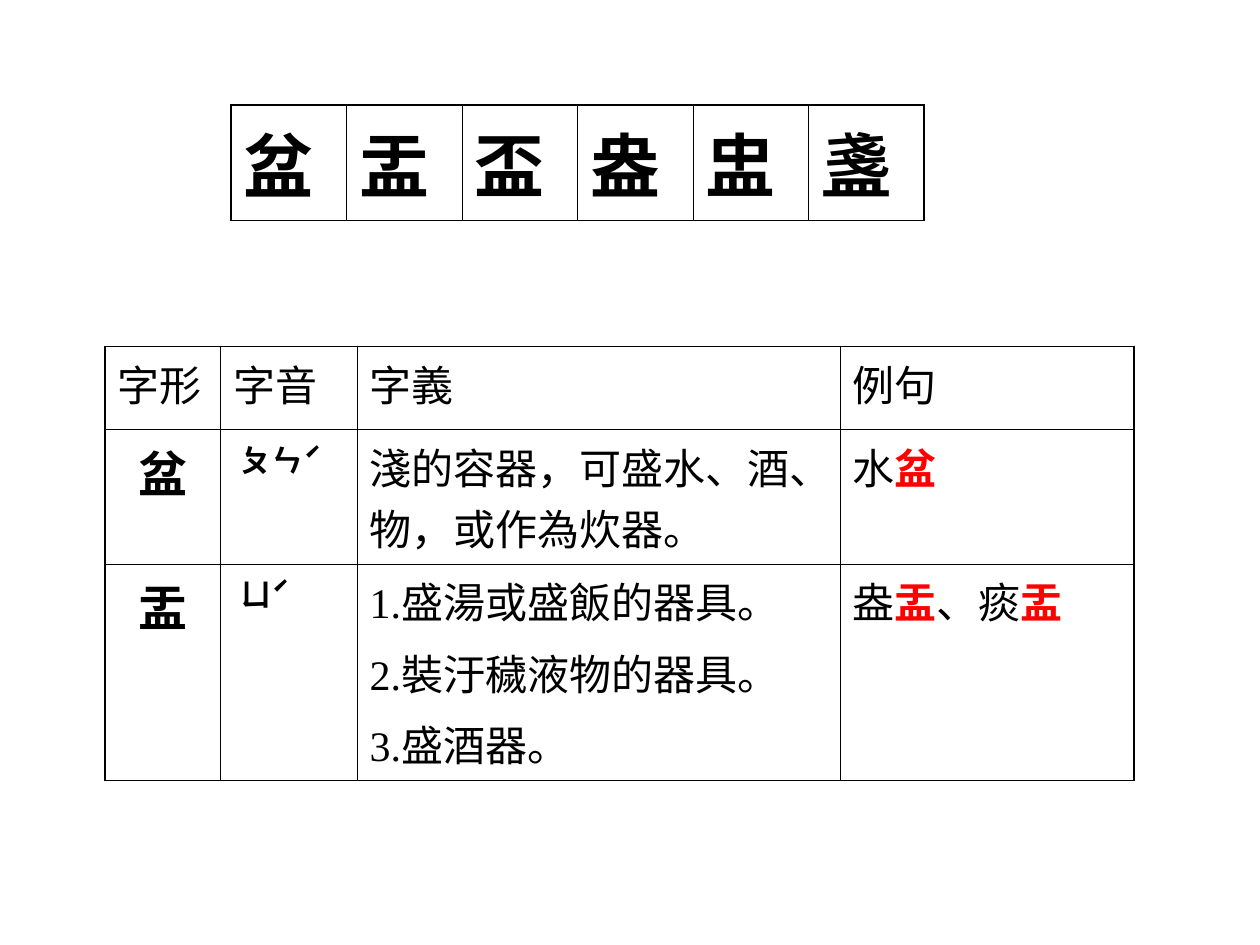
import dataclasses
import pptx
import pptx.dml.color
import pptx.enum.text
import pptx.oxml
import pptx.oxml.ns
import pptx.util

UNIT = 1 / 12  # grid step in inches


@dataclasses.dataclass(frozen=True)
class Style:
    size: float
    before: float
    bold: bool = False
    center: bool = False


class Theme:
    font = "Times New Roman"
    ink = "000000"
    red = "FF0000"
    thick = 1.08
    thin = 0.45
    title = Style(40, 10, bold=True)
    glyph = Style(28, 7, bold=True, center=True)
    sound = Style(18, 4.5, bold=True)
    body = Style(24, 6)


def grid(steps):
    return pptx.util.Inches(steps * UNIT)


def edge(cell, side, width):
    """Draw one border line of a cell."""
    line = pptx.oxml.parse_xml(
        f'<a:ln{side} {pptx.oxml.ns.nsdecls("a")} w="{pptx.util.Pt(width)}">'
        f'<a:solidFill><a:srgbClr val="{Theme.ink}"/></a:solidFill>'
        f'</a:ln{side}>')
    cell._tc.get_or_add_tcPr().append(line)


def write(cell, text, style):
    """Fill a cell; parts between asterisks are bold and red."""
    frame = cell.text_frame
    for i, row in enumerate(text.split("\n")):
        para = frame.paragraphs[0] if i == 0 else frame.add_paragraph()
        para.space_before = pptx.util.Pt(style.before)
        if style.center:
            para.alignment = pptx.enum.text.PP_ALIGN.CENTER
        for k, part in enumerate(row.split("*")):
            if not part:
                continue
            key = k % 2 == 1
            run = para.add_run()
            run.text = part
            run.font.name = Theme.font
            run.font.size = pptx.util.Pt(style.size)
            run.font.bold = key or style.bold
            run.font.color.rgb = pptx.dml.color.RGBColor.from_string(
                Theme.red if key else Theme.ink)


def table(slide, left, top, cols, rows, data, pick):
    """Add a table with thick outer and thin inner lines."""
    frame = slide.shapes.add_table(
        len(rows), len(cols), grid(left), grid(top),
        grid(sum(cols)), grid(sum(rows)))
    tab = frame.table
    tab.first_row = tab.horz_banding = False
    for col, width in zip(tab.columns, cols):
        col.width = grid(width)
    for row, height in zip(tab.rows, rows):
        row.height = grid(height)
    for r, texts in enumerate(data):
        for c, text in enumerate(texts):
            cell = tab.cell(r, c)
            outer = {"L": c == 0, "R": c == len(cols) - 1,
                     "T": r == 0, "B": r == len(rows) - 1}
            for side, rim in outer.items():
                edge(cell, side, Theme.thick if rim else Theme.thin)
            cell.fill.background()
            write(cell, text, pick(r, c))


def main():
    deck = pptx.Presentation()
    deck.slide_width = pptx.util.Inches(10)
    deck.slide_height = pptx.util.Inches(7.5)
    slide = deck.slides.add_slide(deck.slide_layouts[6])

    # Meaning of each character
    lead = {0: Theme.glyph, 1: Theme.sound}
    table(slide, 10, 33, [11, 13, 46, 28], [7.9, 11.9, 19.3], [
        ["字形", "字音", "字義", "例句"],
        ["盆", " ㄆㄣˊ", "淺的容器，可盛水、酒、物，或作為炊器。", "水*盆*"],
        ["盂", " ㄩˊ", "1.盛湯或盛飯的器具。\n2.裝汙穢液物的器具。\n3.盛酒器。",
         "盎*盂*、痰*盂*"],
    ], lambda r, c: lead.get(c, Theme.body) if r else Theme.body)

    # Row of characters on top
    signs = list("盆盂盃盎盅盞")
    table(slide, 22, 10, [11] * len(signs), [11], [signs],
          lambda r, c: Theme.title)

    deck.save("out.pptx")


if __name__ == "__main__":
    main()
